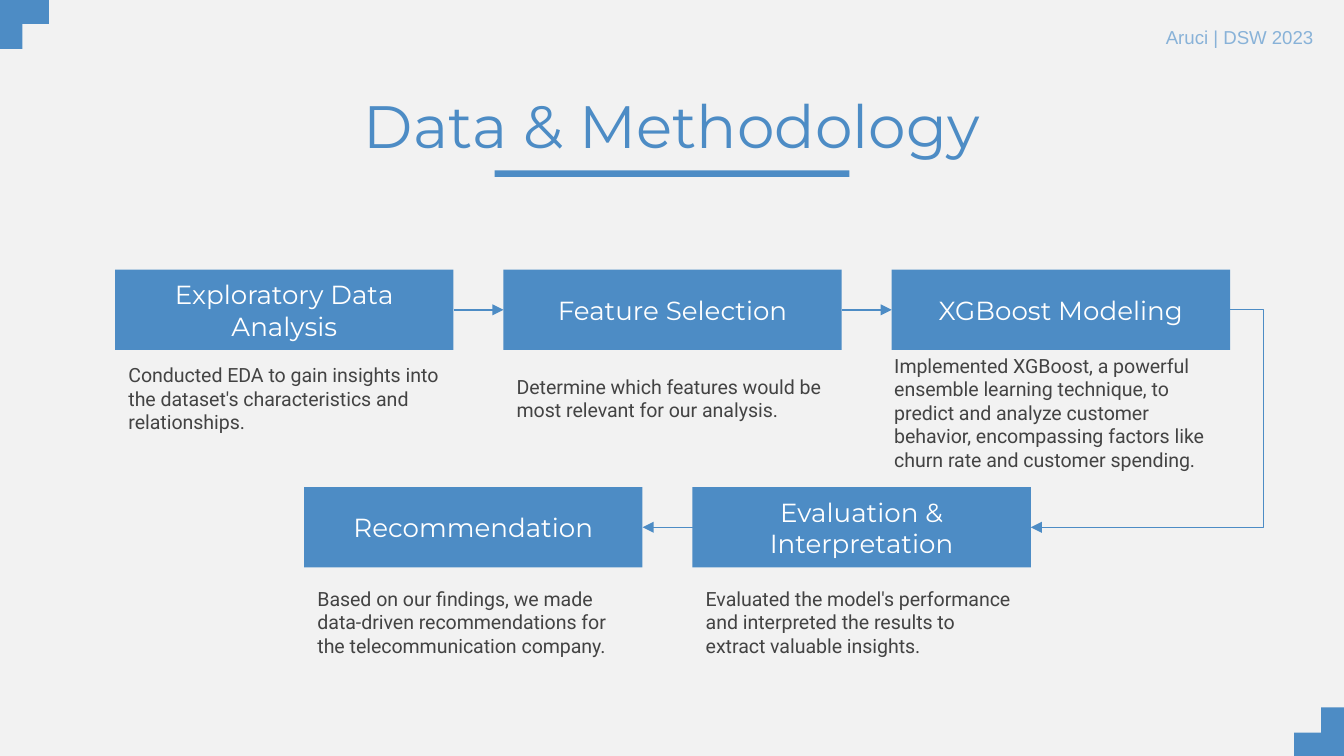
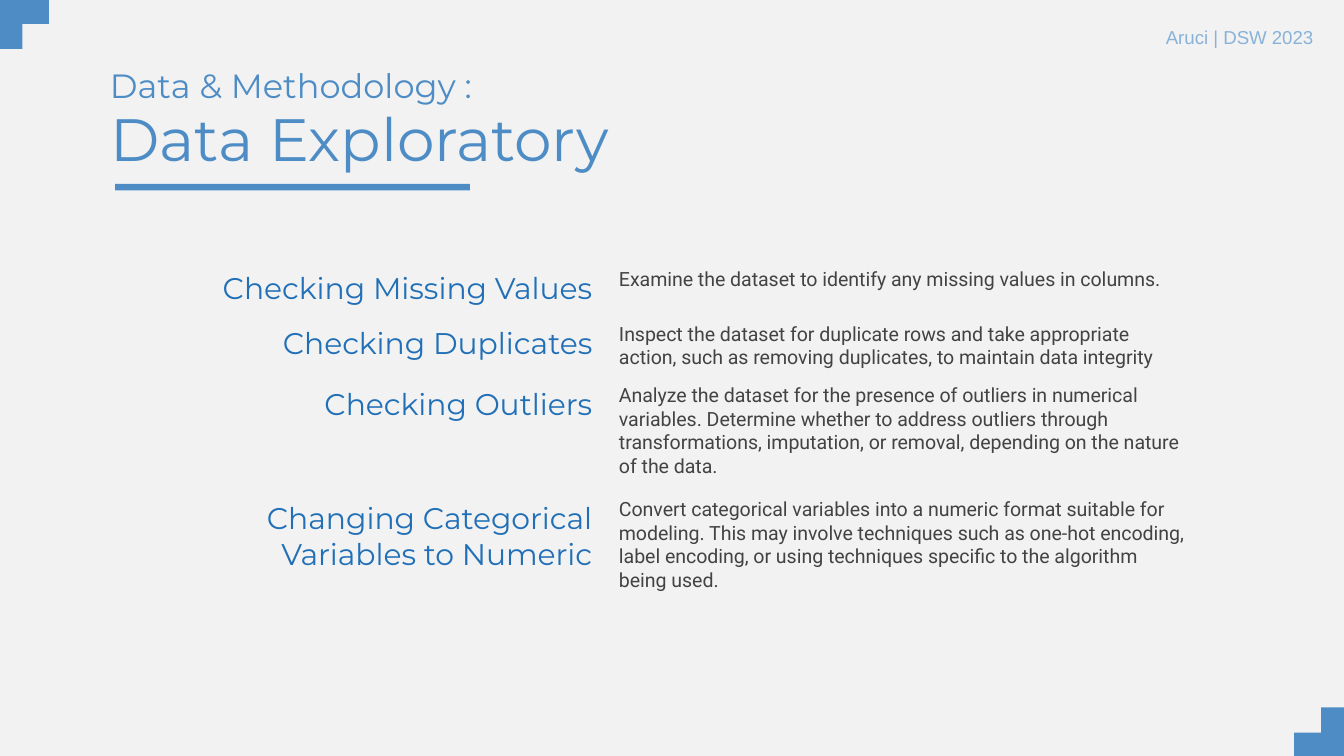
from pptx import Presentation
from pptx import util as u
from pptx.dml.color import RGBColor
from pptx.enum import shapes, text
from pptx.oxml import ns
from lxml import etree

Pt = u.Pt
LEFT, CENTER, RIGHT = text.PP_ALIGN.LEFT, text.PP_ALIGN.CENTER, text.PP_ALIGN.RIGHT
TOP, MIDDLE = text.MSO_ANCHOR.TOP, text.MSO_ANCHOR.MIDDLE

THEME = {
    "paper": RGBColor.from_string("F2F2F2"),
    "blue": RGBColor.from_string("4D8CC5"),
    "deep blue": RGBColor.from_string("2170B7"),
    "pale blue": RGBColor.from_string("88B2D8"),
    "ink": RGBColor.from_string("434343"),
    "white": RGBColor.from_string("FFFFFF"),
    # Text styles: font format and colour name
    "title": ({"name": "Montserrat", "size": Pt(32), "bold": False}, "blue"),
    "kicker": ({"name": "Montserrat", "size": Pt(18)}, "blue"),
    "step": ({"name": "Montserrat", "size": Pt(14)}, "white"),
    "check": ({"name": "Montserrat", "size": Pt(16)}, "deep blue"),
    "body": ({"name": "Roboto", "size": Pt(10.5)}, "ink"),
    "credit": ({"name": "Arial", "size": Pt(10)}, "pale blue"),
}


def write(box, place, words, style, align=LEFT, anchor=TOP, margin=7.2):
    """Place a text box or title (left, top, width, height) and set its text."""
    for side, length in zip(("left", "top", "width", "height"), place):
        setattr(box, side, Pt(length))
    frame = box.text_frame
    frame.text = words
    frame_format = {
        "word_wrap": True, "auto_size": text.MSO_AUTO_SIZE.NONE,
        "vertical_anchor": anchor,
        "margin_left": Pt(7.2), "margin_right": Pt(7.2),
        "margin_top": Pt(margin), "margin_bottom": Pt(margin),
    }
    for name, value in frame_format.items():
        setattr(frame, name, value)
    para = frame.paragraphs[0]
    para.alignment = align
    font_format, colour = THEME[style]
    span = para.runs[0]
    for name, value in font_format.items():
        setattr(span.font, name, value)
    span.font.color.rgb = THEME[colour]
    return frame


def add_block(parent, left, top, width, height):
    """Add a plain blue rectangle to a page or a group."""
    block = parent.shapes.add_shape(
        shapes.MSO_SHAPE.RECTANGLE, Pt(left), Pt(top), Pt(width), Pt(height))
    block.shadow.inherit = False
    block.fill.solid()
    block.fill.fore_color.rgb = THEME["blue"]
    block.line.fill.background()


deck = Presentation()
deck.slide_width, deck.slide_height = Pt(720), Pt(405)
deck.slide_master.background.fill.solid()
deck.slide_master.background.fill.fore_color.rgb = THEME["paper"]

# What the slides share: title, rule, corner squares, credit
TITLES = [
    ("Data & Methodology", 126.75, 31, CENTER, 265, 91.25),
    ("Data Exploratory", 51.75, 38.25, LEFT, 61.75, 98.5),
]
CORNERS = [
    [(-26.75, -12.5), (-12.5, -26)],
    [(693.25, 392.5), (707.75, 379)],
]
for title, left, top, align, rule_left, rule_top in TITLES:
    page = deck.slides.add_slide(deck.slide_layouts[5])
    write(page.shapes.title, (left, top, 466.5, 71.25), title, "title", align, MIDDLE)
    add_block(page, rule_left, rule_top, 190, 3.5)
    for squares in CORNERS:
        corner = page.shapes.add_group_shape()
        for square_left, square_top in squares:
            add_block(corner, square_left, square_top, 38.75, 38.75)
    credit = page.shapes.add_textbox(0, 0, 0, 0)
    frame = write(credit, (617.5, 10.25, 94.5, 19.5), "Aruci | DSW 2023", "credit", margin=3.6)
    frame.word_wrap = False
    frame.auto_size = text.MSO_AUTO_SIZE.SHAPE_TO_FIT_TEXT

method_page, exploratory_page = deck.slides

# Slide 1: process steps in two rows
STEP_WIDTH, STEP_HEIGHT, STEP_PITCH = 181.25, 43, 208
LABEL_WIDTH, LABEL_HEIGHT = 148.25, 21
# Each row: left, top, top of the descriptions, steps from left to right
STEP_ROWS = [
    (61.75, 144.5, 183.5, [
        ("Exploratory Data Analysis",
         "Conducted EDA to gain insights into the dataset's characteristics and "
         "relationships."),
        ("Feature Selection",
         "Determine which features would be most relevant for our analysis."),
        ("XGBoost Modeling",
         "Implemented XGBoost, a powerful ensemble learning technique, to predict and "
         "analyze customer behavior, encompassing factors like churn rate and customer "
         "spending."),
    ]),
    (163, 261, 303.25, [
        ("Recommendation",
         "Based on our findings, we made data-driven recommendations for the "
         "telecommunication company."),
        ("Evaluation & Interpretation",
         "Evaluated the model's performance and interpreted the results to extract "
         "valuable insights."),
    ]),
]
for row_left, top, body_top, steps in STEP_ROWS:
    for column, (label, body) in enumerate(steps):
        left = row_left + column * STEP_PITCH
        add_block(method_page, left, top, STEP_WIDTH, STEP_HEIGHT)
        label_place = (left + (STEP_WIDTH - LABEL_WIDTH) / 2,
                       top + (STEP_HEIGHT - LABEL_HEIGHT) / 2, LABEL_WIDTH, LABEL_HEIGHT)
        write(method_page.shapes.add_textbox(0, 0, 0, 0), label_place, label, "step",
              CENTER, MIDDLE)
        body_place = (left, body_top, STEP_WIDTH, 59.75)
        if label == "XGBoost Modeling":  # the longest text needs a wider, lower box
            body_place = (472, 191, 192.25, 59.75)
        write(method_page.shapes.add_textbox(0, 0, 0, 0), body_place, body, "body",
              LEFT, MIDDLE)

(first_left, first_top, *_), (second_left, second_top, *_) = STEP_ROWS
first_y, second_y = first_top + STEP_HEIGHT / 2, second_top + STEP_HEIGHT / 2
STRAIGHT, ELBOW = shapes.MSO_CONNECTOR.STRAIGHT, shapes.MSO_CONNECTOR.ELBOW
ARROWS = [
    (STRAIGHT, first_left + STEP_WIDTH, first_y, first_left + STEP_PITCH, first_y),
    (STRAIGHT, first_left + STEP_PITCH + STEP_WIDTH, first_y,
     first_left + 2 * STEP_PITCH, first_y),
    (ELBOW, first_left + 2 * STEP_PITCH + STEP_WIDTH, first_y,
     second_left + STEP_PITCH + STEP_WIDTH, second_y),
    (STRAIGHT, second_left + STEP_PITCH, second_y, second_left + STEP_WIDTH, second_y),
]
for kind, *ends in ARROWS:
    arrow = method_page.shapes.add_connector(kind, *map(Pt, ends))
    arrow.line.color.rgb = THEME["blue"]
    arrow.line.width = Pt(0.75)
    properties = arrow.element.spPr
    etree.SubElement(properties.find(ns.qn("a:ln")), ns.qn("a:tailEnd"), type="triangle")
    etree.SubElement(properties, ns.qn("a:effectLst"))
    if kind == ELBOW:  # bend to the right of the first row
        bends = properties.find(ns.qn("a:prstGeom")).get_or_add_avLst()
        etree.SubElement(bends, ns.qn("a:gd"), name="adj1", fmla="val -16900")

# Slide 2: checks on the left, what they mean on the right
write(exploratory_page.shapes.add_textbox(0, 0, 0, 0), (51.75, 10, 466.5, 71.25),
      "Data & Methodology :", "kicker", LEFT, MIDDLE)
CHECKS = [
    (136, 59.75, "Checking Missing Values",
     "Examine the dataset to identify any missing values in columns."),
    (165.25, 59.75, "Checking Duplicates",
     "Inspect the dataset for duplicate rows and take appropriate action, such as "
     "removing duplicates, to maintain data integrity"),
    (198, 59.75, "Checking Outliers",
     "Analyze the dataset for the presence of outliers in numerical variables. Determine "
     "whether to address outliers through transformations, imputation, or removal, "
     "depending on the nature of the data."),
    (259.25, 118.75, "Changing Categorical Variables to Numeric",
     "Convert categorical variables into a numeric format suitable for modeling. This may "
     "involve techniques such as one-hot encoding, label encoding, or using techniques "
     "specific to the algorithm being used."),
]
for top, height, check, body in CHECKS:
    write(exploratory_page.shapes.add_textbox(0, 0, 0, 0), (85, top + 1.5, 239.5, 50.5),
          check, "check", RIGHT)
    write(exploratory_page.shapes.add_textbox(0, 0, 0, 0), (324.5, top, 317.5, height),
          body, "body")

deck.save("out.pptx")
